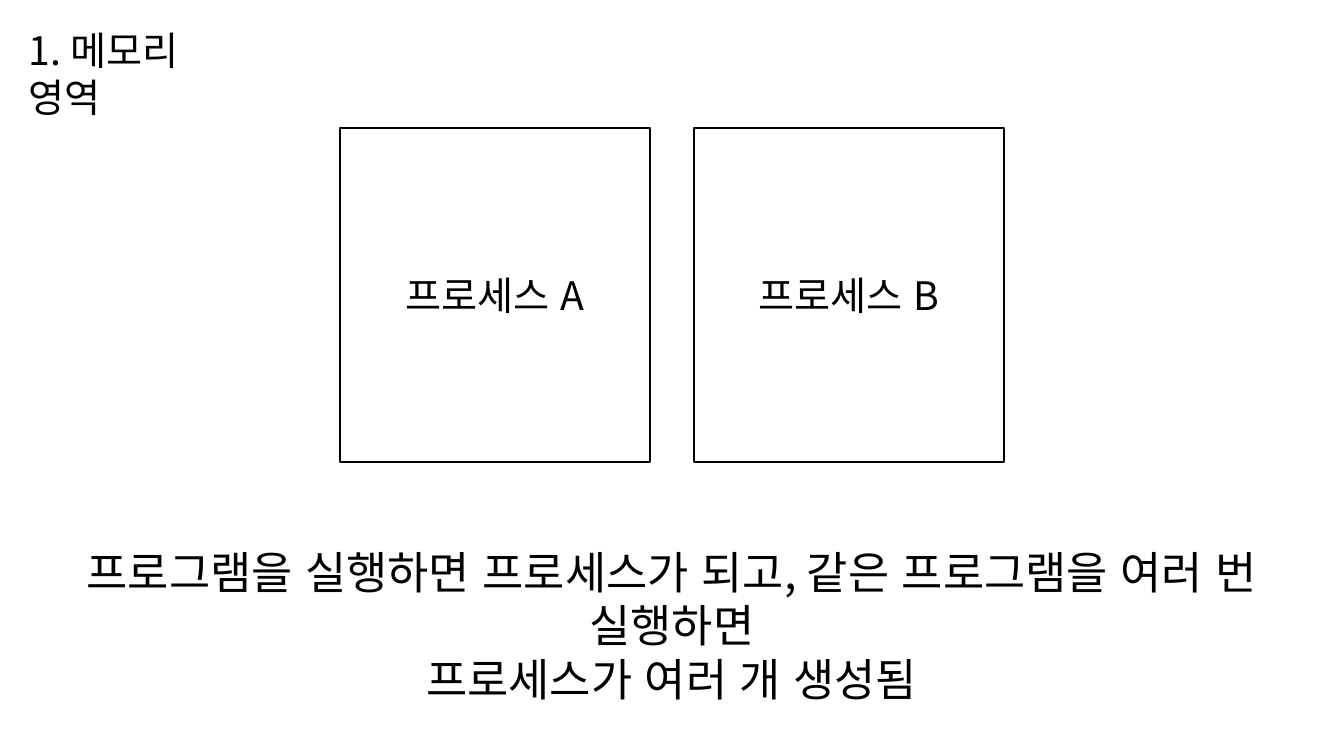
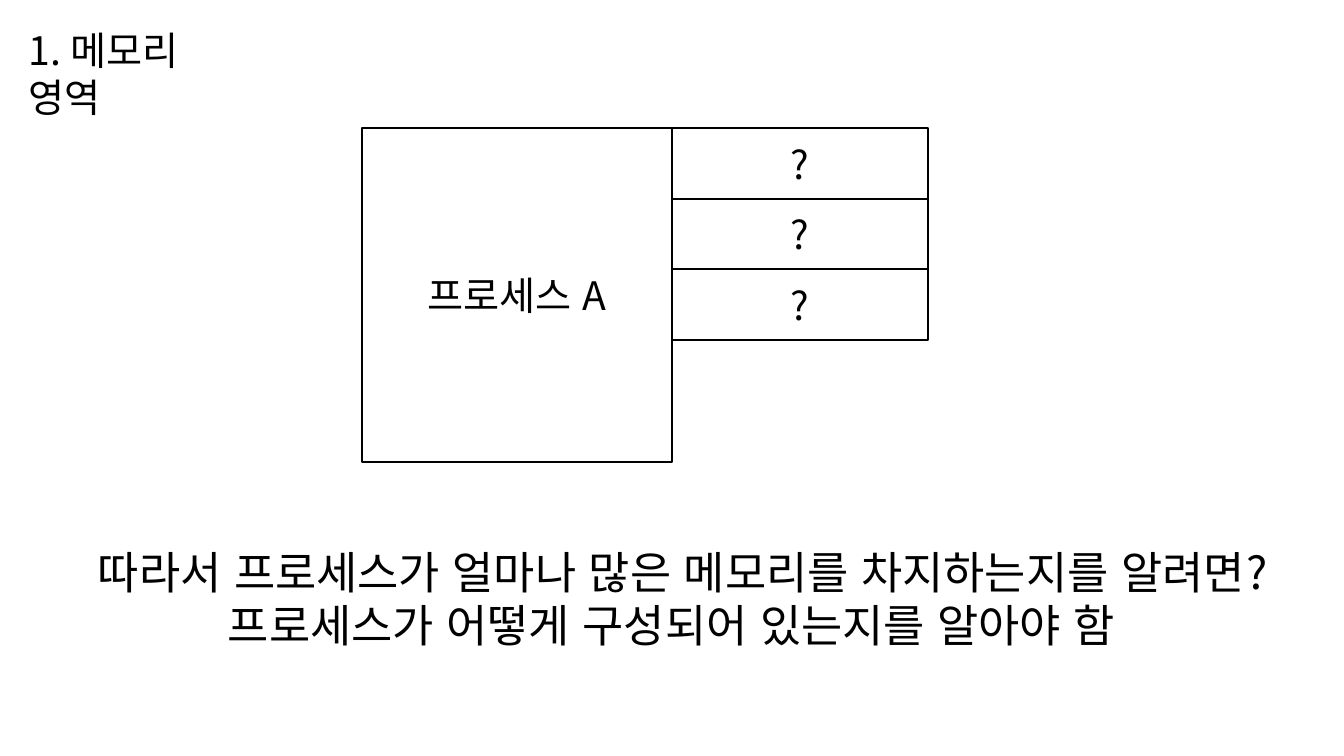
from dataclasses import dataclass

from lxml.etree import SubElement
from pptx import Presentation
from pptx.dml.color import RGBColor
from pptx.enum.lang import MSO_LANGUAGE_ID as Language
from pptx.enum.shapes import MSO_SHAPE as Preset
from pptx.enum.text import MSO_ANCHOR as Anchor, MSO_AUTO_SIZE as AutoSize, PP_ALIGN as Align
from pptx.oxml.ns import qn
from pptx.slide import Slide
from pptx.text.text import TextFrame
from pptx.util import Cm, Pt

BLACK = RGBColor(0x00, 0x00, 0x00)
WHITE = RGBColor(0xFF, 0xFF, 0xFF)
FONT = "Noto Sans CJK KR"

# Measures in centimetres
SLIDE_W, SLIDE_H = 33.87, 19.05
CENTER = SLIDE_W / 2
BLOCK_TOP = 3.23
PROCESS_W, PROCESS_H = 7.82, 8.41
PROCESS_GAP = 1.1
PART_W, PART_H = 6.45, 1.78


@dataclass(frozen=True)
class Block:
    label: str
    left: float
    top: float = BLOCK_TOP
    width: float = PROCESS_W
    height: float = PROCESS_H


@dataclass(frozen=True)
class Page:
    caption: str
    caption_width: float
    blocks: list[Block]


PAGES = [
    Page(
        "프로그램을 실행하면 프로세스가 되고, 같은 프로그램을 여러 번 실행하면\n"
        "프로세스가 여러 개 생성됨",
        34.14,
        [
            Block("프로세스 A", CENTER - PROCESS_GAP / 2 - PROCESS_W),
            Block("프로세스 B", CENTER + PROCESS_GAP / 2),
        ],
    ),
    Page(
        "따라서 프로세스가 얼마나 많은 메모리를 차지하는지를 알려면?\n"
        "프로세스가 어떻게 구성되어 있는지를 알아야 함",
        29.77,
        [Block("프로세스 A", CENTER - PROCESS_W)]
        + [Block("?", CENTER, BLOCK_TOP + row * PART_H, PART_W, PART_H) for row in range(3)],
    ),
]


def write_text(frame: TextFrame, text: str, *, size: int = 28,
               align: Align = Align.CENTER, anchor: Anchor = Anchor.TOP) -> None:
    frame.word_wrap = True
    frame.vertical_anchor = anchor
    frame.text = text
    for paragraph in frame.paragraphs:
        paragraph.alignment = align
        for run in paragraph.runs:
            font = run.font
            font.size = Pt(size)
            font.color.rgb = BLACK
            font.language_id = Language.KOREAN
            font.name = FONT
            # Hangul takes its typeface from the East Asian slot
            SubElement(font._element, qn("a:ea")).set("typeface", FONT)


def add_label(slide: Slide, text: str, left: float, top: float,
              width: float, height: float, **style) -> None:
    frame = slide.shapes.add_textbox(Cm(left), Cm(top), Cm(width), Cm(height)).text_frame
    write_text(frame, text, **style)
    frame.auto_size = AutoSize.SHAPE_TO_FIT_TEXT


def add_block(slide: Slide, block: Block) -> None:
    box = slide.shapes.add_shape(Preset.RECTANGLE, Cm(block.left), Cm(block.top),
                                 Cm(block.width), Cm(block.height))
    box.shadow.inherit = False
    box.fill.solid()
    box.fill.fore_color.rgb = WHITE
    box.line.color.rgb = BLACK
    box.line.width = Pt(1.5)
    write_text(box.text_frame, block.label, anchor=Anchor.MIDDLE)


def main() -> None:
    deck = Presentation()
    deck.slide_width, deck.slide_height = Cm(SLIDE_W), Cm(SLIDE_H)
    blank = deck.slide_layouts[6]

    for page in PAGES:
        slide = deck.slides.add_slide(blank)
        # Title and caption
        add_label(slide, "1. 메모리 영역", 0.48, 0.53, 6.15, 1.45, align=Align.LEFT)
        add_label(slide, page.caption, CENTER - page.caption_width / 2, 13.59,
                  page.caption_width, 3, size=32)
        # Memory blocks
        for block in page.blocks:
            add_block(slide, block)

    deck.save("out.pptx")


if __name__ == "__main__":
    main()
